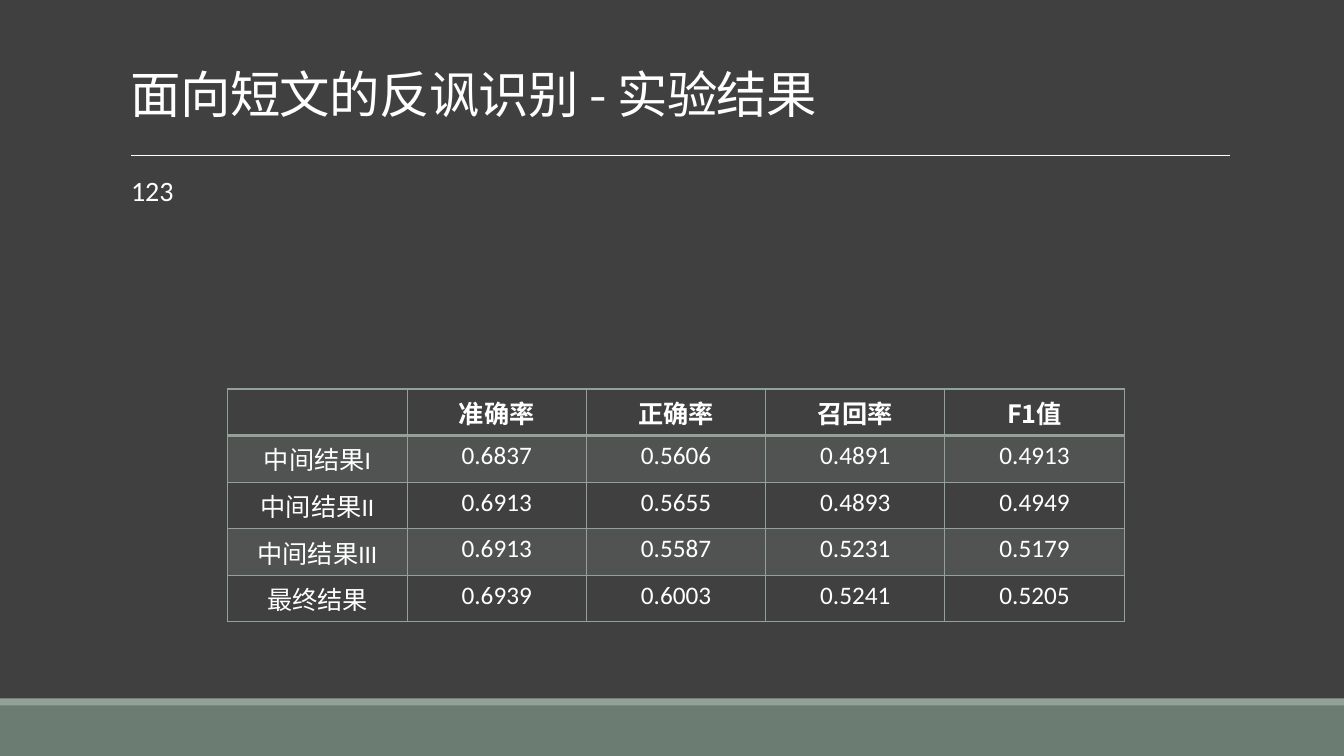
"""Builds the slide of experiment results for irony detection."""
from lxml import etree
from pptx import Presentation
from pptx.dml.color import RGBColor
from pptx.enum.shapes import MSO_CONNECTOR, MSO_SHAPE
from pptx.enum.text import MSO_ANCHOR, PP_ALIGN
from pptx.oxml.ns import qn
from pptx.util import Inches, Pt

RECT, LINE = MSO_SHAPE.RECTANGLE, MSO_CONNECTOR.STRAIGHT
TOP, BOTTOM = MSO_ANCHOR.TOP, MSO_ANCHOR.BOTTOM
CENTER = PP_ALIGN.CENTER

TITLE = "面向短文的反讽识别 - 实验结果"
BODY = "123"
HEAD = ["", "准确率", "正确率", "召回率", "F1值"]
ROWS = [
    (("中间结果", "I"), "0.6837", "0.5606", "0.4891", "0.4913"),
    (("中间结果", "II"), "0.6913", "0.5655", "0.4893", "0.4949"),
    (("中间结果", "III"), "0.6913", "0.5587", "0.5231", "0.5179"),
    (("最终结果",), "0.6939", "0.6003", "0.5241", "0.5205"),
]
HEX = {"back": "404040", "band": "6B7D72", "edge": "93A299",
       "text": "FFFFFF", "mark": "B5AE53"}
SANS, HAN = "Calibri", "Noto Sans CJK SC"
BARS = [("band", 7, 0.5), ("edge", 6.93, 0.07)]
WIDE, HIGH = 13.33, 7.5
GRID = 2.26, 3.86, 8.89, 2.31


def color(key):
    return RGBColor.from_string(HEX[key])


def add_run(para, text, face, size, bold=False):
    run = para.add_run()
    run.text = text
    for key, val in {"name": face, "size": Pt(size), "bold": bold}.items():
        setattr(run.font, key, val)
    run.font.color.rgb = color("text")
    props = run._r.get_or_add_rPr()
    etree.SubElement(props, qn("a:ea"), typeface=HAN)
    return props


def add_box(slide, place, anchor, **gaps):
    frame = slide.shapes.add_textbox(*map(Inches, place)).text_frame
    for key, val in {"word_wrap": True, "vertical_anchor": anchor, **gaps}.items():
        setattr(frame, key, val)
    return frame.paragraphs[0]


def add_edges(cell, row):
    props = cell._tc.get_or_add_tcPr()
    wide = {"lnT": 2 if row == 1 else 1, "lnB": 2 if row == 0 else 1}
    for spot, side in enumerate(("lnL", "lnR", "lnT", "lnB")):
        line = etree.Element(qn("a:" + side), w=str(Pt(wide.get(side, 1))))
        fill = etree.SubElement(line, qn("a:solidFill"))
        etree.SubElement(fill, qn("a:srgbClr"), val=HEX["edge"])
        props.insert(spot, line)


def fill_cell(cell, row, item):
    para = cell.text_frame.paragraphs[0]
    para.alignment = CENTER
    for text in [item] if isinstance(item, str) else item:
        if text:
            face = SANS if text.isascii() else HAN
            add_run(para, text, face, 18, row == 0)
    if row % 2:
        cell.fill.solid()
        cell.fill.fore_color.rgb = color("edge")
        tint = cell._tc.tcPr.find(".//" + qn("a:srgbClr"))
        etree.SubElement(tint, qn("a:alpha"), val="20000")
    else:
        cell.fill.background()
    add_edges(cell, row)


def add_grid(slide):
    data = [HEAD, *ROWS]
    size = len(data), len(HEAD)
    table = slide.shapes.add_table(*size, *map(Inches, GRID)).table
    table.first_row = table.horz_banding = False
    for row, items in enumerate(data):
        for col, item in enumerate(items):
            fill_cell(table.cell(row, col), row, item)


def add_frame(slide):
    for key, top, high in BARS:
        bar = slide.shapes.add_shape(RECT, 0, Inches(top), Inches(WIDE), Inches(high))
        bar.shadow.inherit = False
        bar.fill.solid()
        bar.fill.fore_color.rgb = color(key)
        bar.line.fill.background()
    rule = slide.shapes.add_connector(LINE, *map(Inches, (1.3, 1.54, 12.2, 1.54)))
    rule.line.color.rgb = color("text")
    rule.line.width = Pt(0.5)
    etree.SubElement(rule._element.spPr, qn("a:effectLst"))


def add_texts(slide):
    para = add_box(slide, (1.2, -0.31, 11, 1.59), BOTTOM)
    para.line_spacing = 0.85
    add_run(para, TITLE, HAN, 36).set("spc", "-50")

    para = add_box(slide, (1.2, 1.71, 11, 4.71), TOP, margin_left=0, margin_right=0)
    props = para._p.get_or_add_pPr()
    props.set("marL", str(Inches(0.1)))
    props.set("indent", str(-Inches(0.1)))
    mark = etree.SubElement(props, qn("a:buClr"))
    etree.SubElement(mark, qn("a:srgbClr"), val=HEX["mark"])
    etree.SubElement(props, qn("a:buFont"), typeface=SANS)
    etree.SubElement(props, qn("a:buChar"), char=" ")
    para.line_spacing = 0.9
    para.space_after = Pt(2)
    add_run(para, BODY, SANS, 20)


def main():
    deck = Presentation()
    deck.slide_width, deck.slide_height = Inches(WIDE), Inches(HIGH)
    slide = deck.slides.add_slide(deck.slide_layouts[6])
    slide.background.fill.solid()
    slide.background.fill.fore_color.rgb = color("back")
    add_frame(slide)
    add_texts(slide)
    add_grid(slide)
    deck.save("out.pptx")


if __name__ == "__main__":
    main()
